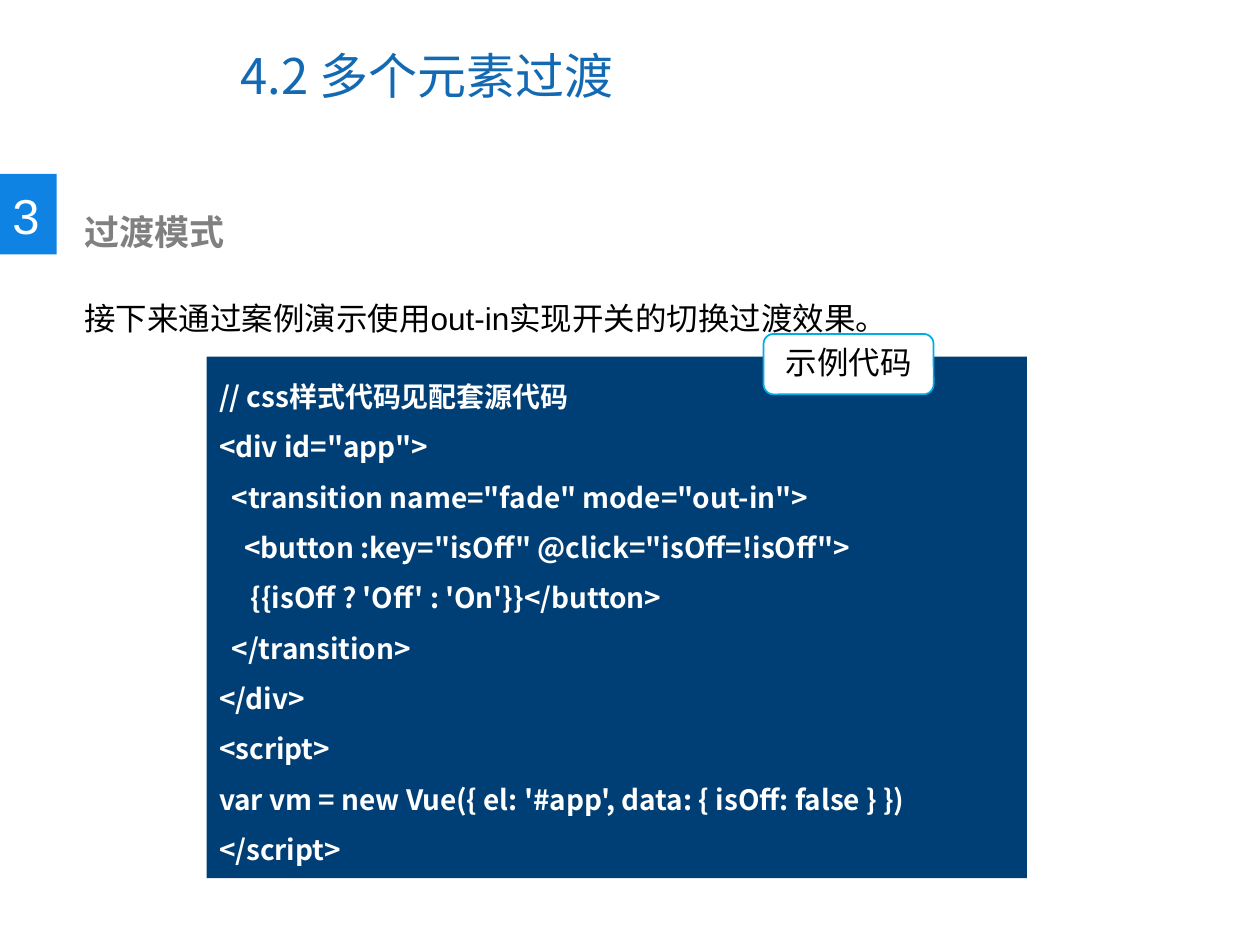
from lxml import etree
from pptx import Presentation
from pptx import util as u
from pptx.dml.color import RGBColor
from pptx.enum import shapes, text
from pptx.oxml import ns

COLORS = {"title": "1369B2", "badge": "0F83E3", "heading": "808080", "code": "003F75",
          "edge": "00ACE6", "white": "FFFFFF", "black": "000000"}
CJK = "Noto Sans CJK SC"
CODE = """// css样式代码见配套源代码
<div id="app">
  <transition name="fade" mode="out-in">
    <button :key="isOff" @click="isOff=!isOff">
     {{isOff ? 'Off' : 'On'}}</button>
  </transition>
</div>
<script>
var vm = new Vue({ el: '#app', data: { isOff: false } })
</script>"""

deck = Presentation()
deck.slide_width, deck.slide_height = u.Inches(10), u.Inches(7.5)
COLUMN, ROW = deck.slide_width / 100, deck.slide_height / 75


def place(left, top, width, height):
    """Turn a position on the 100 by 75 grid into slide lengths."""
    return [round(n * step) for n, step in zip((left, top, width, height), (COLUMN, ROW) * 2)]


def write(box, words, size=18, color="black", font="Arial", bold=False, spacing=None,
          align=text.PP_ALIGN.LEFT, anchor=text.MSO_ANCHOR.TOP, wrap=True):
    frame = box.text_frame
    frame.word_wrap, frame.vertical_anchor = wrap, anchor
    for index, line in enumerate(words.split("\n")):
        para = frame.add_paragraph() if index else frame.paragraphs[0]
        para.alignment = align
        if spacing:
            para.line_spacing = spacing
        span = para.add_run()
        span.text = line
        span.font.name, span.font.size, span.font.bold = font, u.Pt(size), bold
        span.font.color.rgb = RGBColor.from_string(COLORS[color])
        etree.SubElement(span.font._element, ns.qn("a:ea"), typeface=CJK)


slide = deck.slides.add_slide(deck.slide_layouts[5])

title = slide.shapes.title
title.left, title.top, title.width, title.height = place(18.1, 1.7, 51.6, 8.5)
write(title, "4.2 多个元素过渡", size=28, color="title", font=CJK,
      anchor=text.MSO_ANCHOR.MIDDLE)

# Filled shapes: section badge, code panel, label on the panel's top edge
panels = {}
for name, kind, fill, spot in (
    ("badge", shapes.MSO_SHAPE.RECTANGLE, "badge", (0, 13.8, 4.5, 6.4)),
    ("code", shapes.MSO_SHAPE.RECTANGLE, "code", (16.4, 28.3, 65.1, 41.4)),
    ("label", shapes.MSO_SHAPE.ROUNDED_RECTANGLE, "white", (60.6, 26.5, 13.5, 4.8)),
):
    panel = slide.shapes.add_shape(kind, *place(*spot))
    panel.shadow.inherit = False
    panel.fill.solid()
    panel.fill.fore_color.rgb = RGBColor.from_string(COLORS[fill])
    panel.line.fill.background()
    panels[name] = panel

number = slide.shapes.add_textbox(*place(0, 14.2, 4.2, 5.7))
write(number, "3", size=28, color="white", wrap=False)

heading = slide.shapes.add_textbox(*place(5.7, 16.2, 50.4, 4.4))
write(heading, "过渡模式", size=20, color="heading", bold=True)

intro = slide.shapes.add_textbox(*place(5.7, 20.2, 94.3, 7.1))
write(intro, "接下来通过案例演示使用out-in实现开关的切换过渡效果。", spacing=2.0)

write(panels["code"], CODE, size=16, color="white", font=CJK, bold=True, spacing=1.5)

label = panels["label"]
label.line.color.rgb = RGBColor.from_string(COLORS["edge"])
label.line.width = u.Pt(1)
write(label, "示例代码", align=text.PP_ALIGN.CENTER)

deck.save("out.pptx")
